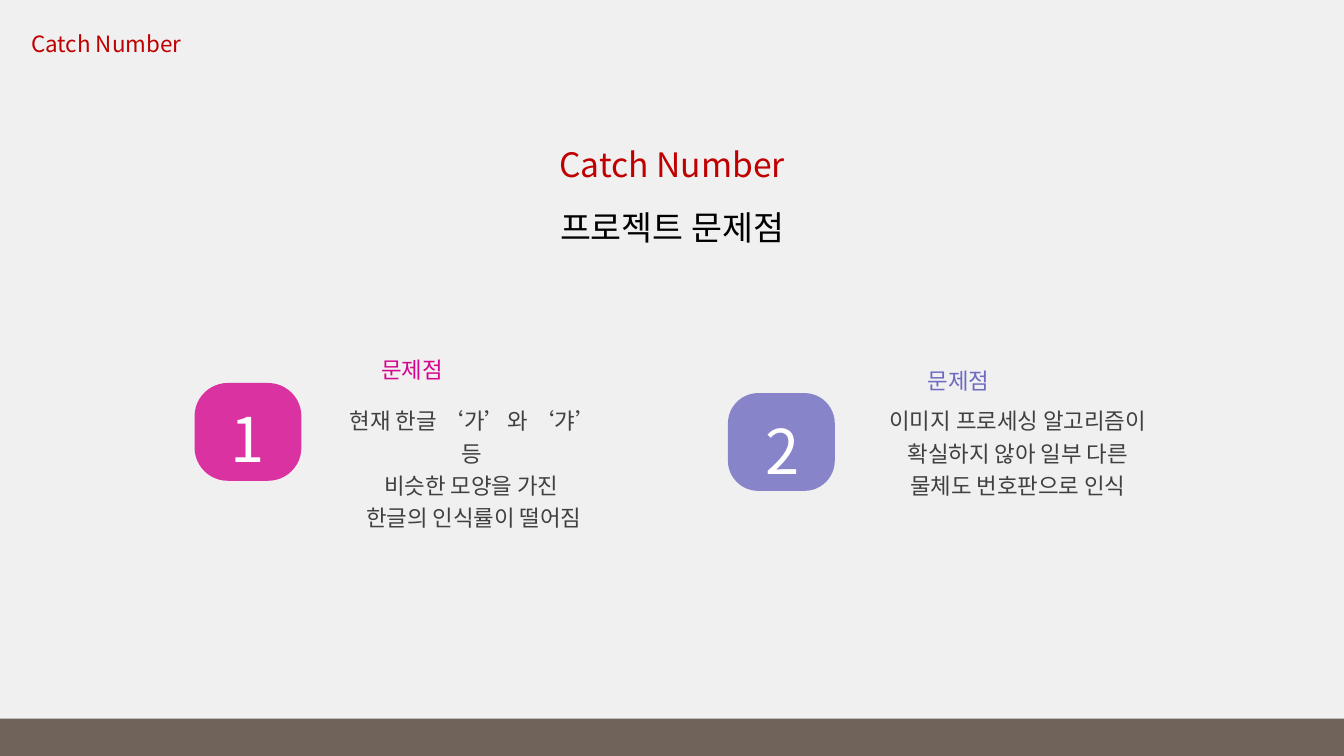
import dataclasses

import pptx
import pptx.dml.color
import pptx.enum.shapes
import pptx.enum.text
import pptx.oxml.ns
import pptx.util
from pptx.util import Inches

ALIGN = pptx.enum.text.PP_ALIGN
SHAPE = pptx.enum.shapes.MSO_SHAPE


@dataclasses.dataclass(frozen=True)
class Theme:
    font: str = "Noto Sans CJK KR"
    paper: str = "F0F0F0"
    footer: str = "70635A"
    brand: str = "C00000"
    black: str = "000000"
    body: str = "404040"
    white: str = "FFFFFF"
    pink: str = "D5038E"
    violet: str = "6D6AC1"
    small: int = 16
    title: int = 24
    number: int = 44


class SlideBuilder:
    """Draws the elements of one slide in a shared theme."""

    def __init__(self, slide, theme):
        self.shapes = slide.shapes
        self.theme = theme

    def block(self, box, color, kind=SHAPE.RECTANGLE, corner=None, opacity=None):
        block = self.shapes.add_shape(kind, *map(Inches, box))
        block.shadow.inherit = False
        block.line.fill.background()
        block.fill.solid()
        block.fill.fore_color.rgb = pptx.dml.color.RGBColor.from_string(color)
        if corner is not None:
            block.adjustments[0] = corner
        if opacity is not None:
            tint = block.fill._xPr.find(".//" + pptx.oxml.ns.qn("a:srgbClr"))
            alpha = pptx.oxml.parse_xml(
                f'<a:alpha {pptx.oxml.ns.nsdecls("a")} val="{opacity * 1000}"/>')
            tint.append(alpha)

    def text(self, box, lines, size, color, spacing=1.2, align=ALIGN.CENTER,
             wrap=False, tracking=None):
        frame = self.shapes.add_textbox(*map(Inches, box)).text_frame
        layout = {"word_wrap": wrap,
                  "auto_size": pptx.enum.text.MSO_AUTO_SIZE.SHAPE_TO_FIT_TEXT}
        for key, value in layout.items():
            setattr(frame, key, value)
        for index, line in enumerate(lines):
            paragraph = frame.paragraphs[0] if index == 0 else frame.add_paragraph()
            for key, value in {"alignment": align, "line_spacing": spacing}.items():
                setattr(paragraph, key, value)
            run = paragraph.add_run()
            run.text = line
            run.font.color.rgb = pptx.dml.color.RGBColor.from_string(color)
            style = {"name": self.theme.font, "size": pptx.util.Pt(size)}
            for key, value in style.items():
                setattr(run.font, key, value)
            properties = run.font._element
            properties.append(pptx.oxml.parse_xml(
                f'<a:ea {pptx.oxml.ns.nsdecls("a")} typeface="{self.theme.font}"/>'))
            if tracking is not None:
                properties.set("spc", str(int(tracking * 100)))

    def problem(self, number, color, badge, corner, digit, label, details, lines):
        theme = self.theme
        self.text((*label, 0.88, 0.39), ["문제점"], theme.small, color,
                  align=ALIGN.RIGHT)
        self.block((*badge, 1.06, 0.97), color, SHAPE.ROUNDED_RECTANGLE, corner, 80)
        self.text((*digit, 0.54, 0.87), [number], theme.number, theme.white,
                  tracking=-1.5)
        self.text(details, lines, theme.small, theme.body)


def main():
    deck = pptx.Presentation()
    deck.slide_width, deck.slide_height = Inches(13.33), Inches(7.5)
    theme = Theme()
    page = SlideBuilder(deck.slides.add_slide(deck.slide_layouts[6]), theme)

    page.block((0, -0.12, 13.33, 7.5), theme.paper)
    page.block((0, 7.13, 13.33, 0.37), theme.footer)

    project = ["Catch Number"]
    page.text((3.81, 1.18, 5.71, 0.61), project, theme.title, theme.brand,
              spacing=1.5, wrap=True)
    page.text((0.2, 0.12, 1.71, 0.44), project, theme.small, theme.brand, spacing=1.5)
    page.text((3.81, 1.8, 5.71, 0.63), ["프로젝트 문제점"], theme.title, theme.black,
              spacing=1.5, wrap=True)

    page.problem("1", theme.pink, badge=(1.93, 3.8), corner=0.34, digit=(2.19, 3.78),
                 label=(3.61, 3.43), details=(3.36, 3.94, 2.68, 1.03),
                 lines=["현재 한글 ‘가’와 ‘갸’ 등 ", "비슷한 모양을 가진 ",
                        "한글의 인식률이 떨어짐"])
    page.problem("2", theme.violet, badge=(7.22, 3.9), corner=0.31, digit=(7.49, 3.9),
                 label=(9.03, 3.54), details=(8.57, 3.94, 3.05, 1.04),
                 lines=["이미지 프로세싱 알고리즘이", "확실하지 않아 일부 다른",
                        "물체도 번호판으로 인식"])
    deck.save("out.pptx")


if __name__ == "__main__":
    main()
